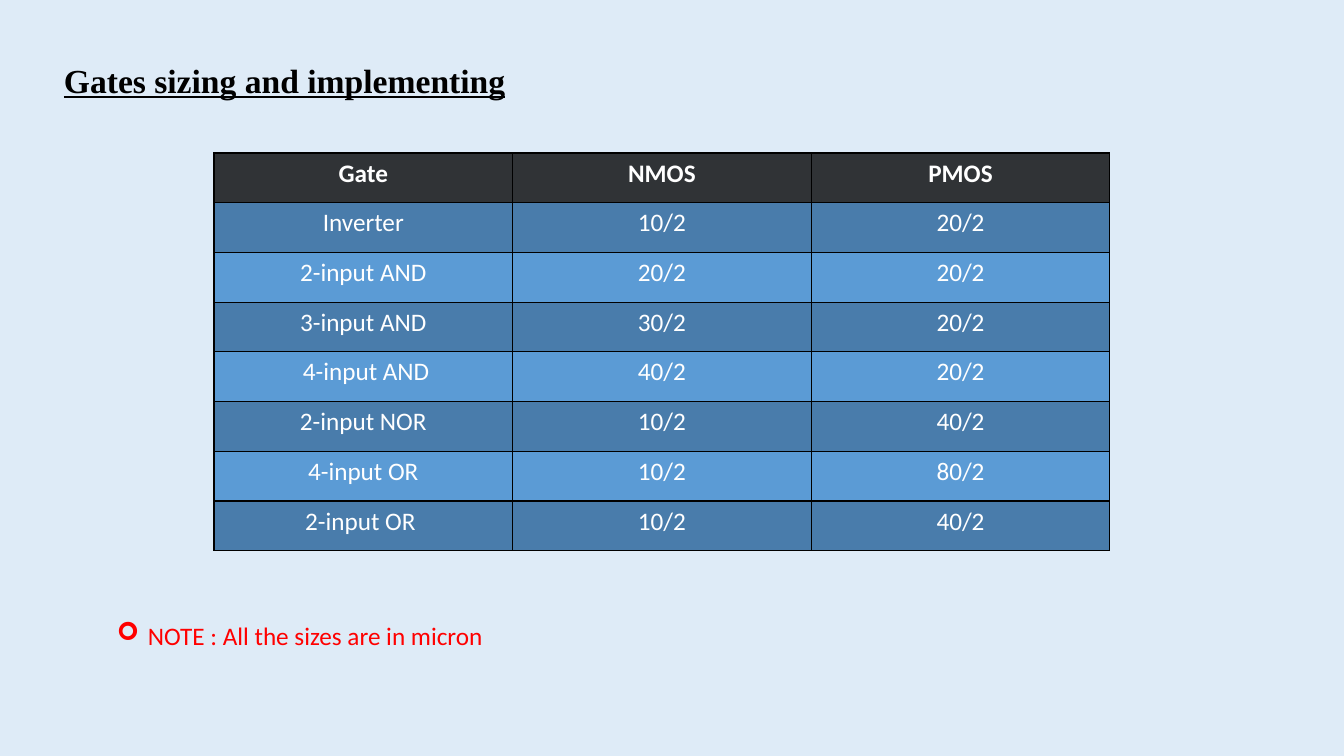
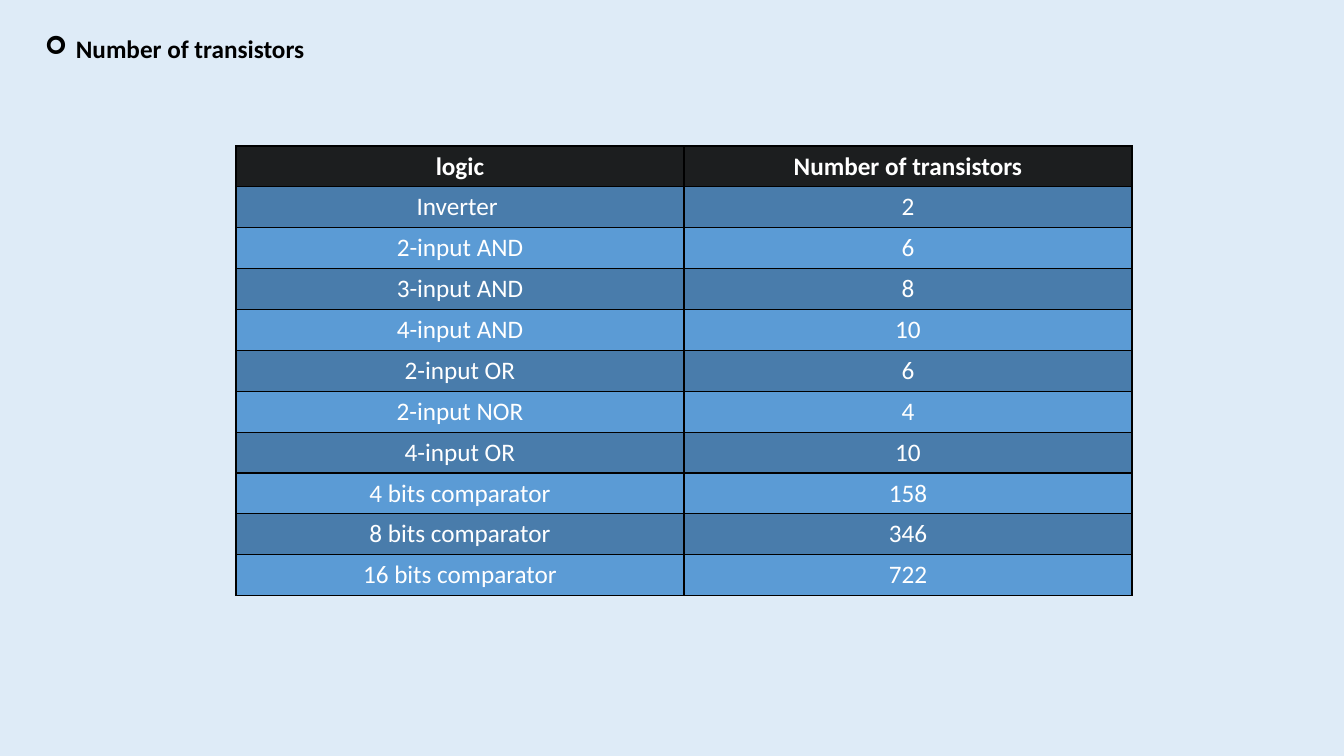
from lxml import etree
from pptx import Presentation
from pptx.dml.color import RGBColor
from pptx.enum.text import MSO_AUTO_SIZE, PP_ALIGN
from pptx.oxml.ns import qn
from pptx.util import Emu, Pt

CENTER = PP_ALIGN.CENTER
GROW = MSO_AUTO_SIZE.SHAPE_TO_FIT_TEXT
PAGE_WIDTH, PAGE_HEIGHT = 1344, 756
EMU_PER_PX = 914400 / 100.8
BLANK_LAYOUT = 6

BACKGROUND = "DEEBF7"
BLACK = "000000"
WHITE = "FFFFFF"
RED = "FF0000"
ROW_FILLS = ("497CAB", "5B9BD5")
BODY_FONT = "Calibri"
TITLE_FONT = "Times New Roman"
BULLET_INDENT = 31

GATE_SIZES = [
    ("Gate", "NMOS", "PMOS"),
    ("Inverter", "10/2", "20/2"),
    ("2-input AND", "20/2", "20/2"),
    ("3-input AND", "30/2", "20/2"),
    (" 4-input AND", "40/2", "20/2"),
    ("2-input NOR", "10/2", "40/2"),
    ("4-input OR", "10/2", "80/2"),
    ("2-input OR ", "10/2", "40/2"),
]
TRANSISTOR_COUNTS = [
    ("logic", "Number of transistors"),
    ("Inverter ", "2"),
    ("2-input AND", "6"),
    ("3-input AND", "8"),
    ("4-input AND", "10"),
    ("2-input OR", "6"),
    ("2-input NOR", "4"),
    ("4-input OR", "10"),
    ("4 bits comparator", "158"),
    ("8 bits comparator", "346"),
    ("16 bits comparator", "722"),
]


def px(length):
    return Emu(round(length * EMU_PER_PX))


def color(hex_string):
    return RGBColor.from_string(hex_string)


def style_text(para, hex_string, size=18, font=BODY_FONT, bold=False, underline=False):
    for span in para.runs:
        span.font.name = font
        span.font.size = Pt(size)
        span.font.bold = bold
        span.font.underline = underline
        span.font.color.rgb = color(hex_string)


def add_page(deck):
    page = deck.slides.add_slide(deck.slide_layouts[BLANK_LAYOUT])
    page.background.fill.solid()
    page.background.fill.fore_color.rgb = color(BACKGROUND)
    return page


def add_text(page, box, text, hex_string, **style):
    frame = page.shapes.add_textbox(*map(px, box)).text_frame
    frame.word_wrap = True
    frame.auto_size = GROW
    frame.text = text
    para = frame.paragraphs[0]
    style_text(para, hex_string, **style)
    return para


def add_bullet(page, box, text, hex_string, **style):
    para = add_text(page, box, text, hex_string, **style)
    properties = para._p.get_or_add_pPr()
    properties.set("marL", str(px(BULLET_INDENT)))
    properties.set("indent", str(-px(BULLET_INDENT)))
    etree.SubElement(properties, qn("a:buFont"), typeface="Wingdings")
    etree.SubElement(properties, qn("a:buChar"), char="➢")


def add_borders(cell):
    properties = cell._tc.get_or_add_tcPr()
    for position, side in enumerate(("lnL", "lnR", "lnT", "lnB")):
        line = etree.Element(qn(f"a:{side}"), w=str(Pt(1)))
        fill = etree.SubElement(line, qn("a:solidFill"))
        etree.SubElement(fill, qn("a:srgbClr"), val=BLACK)
        properties.insert(position, line)


def fill_cell(cell, hex_string, opacity=100):
    cell.fill.solid()
    cell.fill.fore_color.rgb = color(hex_string)
    if opacity < 100:
        shade = cell._tc.tcPr.find(f"{qn('a:solidFill')}/{qn('a:srgbClr')}")
        etree.SubElement(shade, qn("a:alpha"), val=str(opacity * 1000))


def add_data_table(page, box, rows, header_opacity):
    left, top, width, height = box
    column_count = len(rows[0])
    table = page.shapes.add_table(len(rows), column_count, *map(px, box)).table
    table.horz_banding = False
    for column in table.columns:
        column.width = px(width / column_count)
    for row_index, values in enumerate(rows):
        table.rows[row_index].height = px(height / len(rows))
        is_header = row_index == 0
        for column_index, value in enumerate(values):
            cell = table.cell(row_index, column_index)
            cell.text = value
            para = cell.text_frame.paragraphs[0]
            para.alignment = CENTER
            style_text(para, WHITE, bold=is_header)
            if is_header:
                fill_cell(cell, BLACK, header_opacity)
            else:
                fill_cell(cell, ROW_FILLS[(row_index - 1) % 2])
            add_borders(cell)


def build_gate_sizing(deck):
    page = add_page(deck)
    add_text(page, (54, 55, 561, 50), "Gates sizing and implementing", BLACK,
             size=24, font=TITLE_FONT, bold=True, underline=True)
    add_data_table(page, (214, 153, 896, 398), GATE_SIZES, 78)
    add_bullet(page, (107, 615, 509, 40), "NOTE : All the sizes are in micron", RED)


def build_transistor_counts(deck):
    page = add_page(deck)
    add_bullet(page, (35, 28, 436, 40), "Number of transistors", BLACK, bold=True)
    add_data_table(page, (236, 146, 896, 450), TRANSISTOR_COUNTS, 87)


def main():
    deck = Presentation()
    deck.slide_width = px(PAGE_WIDTH)
    deck.slide_height = px(PAGE_HEIGHT)
    build_gate_sizing(deck)
    build_transistor_counts(deck)
    deck.save("out.pptx")


if __name__ == "__main__":
    main()
